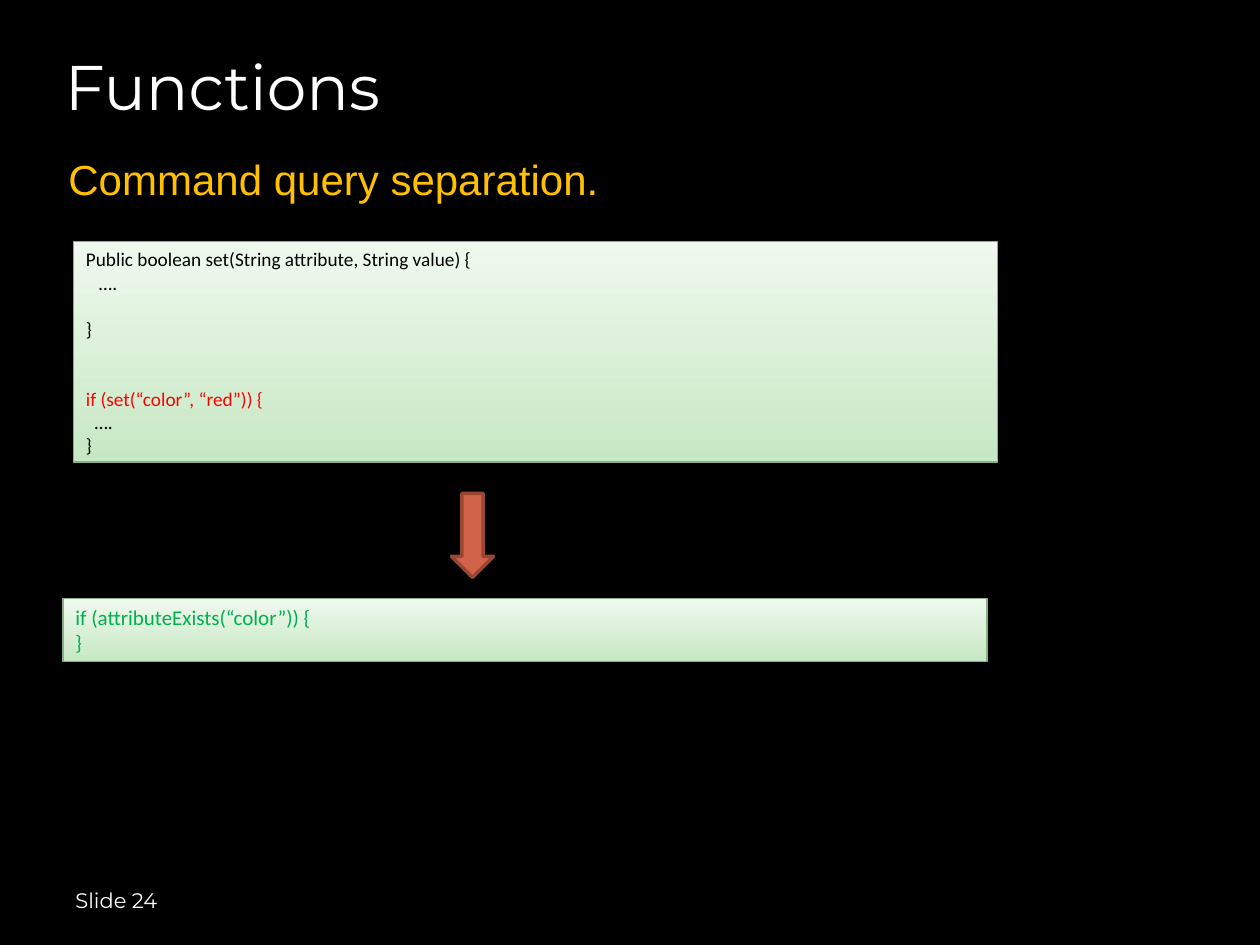
from dataclasses import dataclass

from pptx import Presentation
from pptx.dml.color import RGBColor
from pptx.enum import shapes, text
from pptx.util import Pt

WHITE, BLACK, RED, GREEN, AMBER = "FFFFFF", "000000", "FF0000", "00B050", "FFC000"
CODE_LINE = 13.4  # height of one line of 11 pt code


@dataclass
class Label:
    content: str
    left: float
    top: float
    width: float
    height: float
    size: float
    font: str
    color: str = WHITE
    anchor: text.MSO_ANCHOR = text.MSO_ANCHOR.MIDDLE
    wrap: bool = True


@dataclass
class CodeLine:
    content: str
    color: str
    blank_lines_before: int = 0


@dataclass
class CodeBox:
    left: float
    top: float
    height: float
    size: float
    lines: list[CodeLine]
    width: float = 528


def rgb(value: str) -> RGBColor:
    return RGBColor.from_string(value)


def set_font(paragraph, name: str, size: float, color: str) -> None:
    paragraph.font.name = name
    paragraph.font.size = Pt(size)
    paragraph.font.color.rgb = rgb(color)


def set_outline(shape, color: str, width: float) -> None:
    shape.shadow.inherit = False
    shape.line.color.rgb = rgb(color)
    shape.line.width = Pt(width)


def draw_label(slide, label: Label) -> None:
    box = slide.shapes.add_textbox(
        Pt(label.left), Pt(label.top), Pt(label.width), Pt(label.height))
    frame = box.text_frame
    frame.word_wrap = label.wrap
    frame.vertical_anchor = label.anchor
    frame.text = label.content
    set_font(frame.paragraphs[0], label.font, label.size, label.color)


def draw_code(slide, code: CodeBox) -> None:
    box = slide.shapes.add_shape(
        shapes.MSO_SHAPE.RECTANGLE,
        Pt(code.left), Pt(code.top), Pt(code.width), Pt(code.height))
    set_outline(box, "8BAD88", 0.75)
    box.fill.gradient()
    box.fill.gradient_angle = 90
    for stop, color in zip(box.fill.gradient_stops, ("C7E8C4", "EFF9EE")):
        stop.color.rgb = rgb(color)

    frame = box.text_frame
    frame.word_wrap = True
    frame.auto_size = text.MSO_AUTO_SIZE.SHAPE_TO_FIT_TEXT
    frame.vertical_anchor = text.MSO_ANCHOR.TOP
    for index, line in enumerate(code.lines):
        paragraph = frame.add_paragraph() if index else frame.paragraphs[0]
        paragraph.text = line.content
        paragraph.alignment = text.PP_ALIGN.LEFT
        if line.blank_lines_before:
            paragraph.space_before = Pt(line.blank_lines_before * CODE_LINE)
        set_font(paragraph, "Calibri", code.size, line.color)


def draw_arrow(slide, left: float, top: float, width: float, height: float) -> None:
    arrow = slide.shapes.add_shape(
        shapes.MSO_SHAPE.DOWN_ARROW, Pt(left), Pt(top), Pt(width), Pt(height))
    set_outline(arrow, "994733", 2)
    arrow.fill.solid()
    arrow.fill.fore_color.rgb = rgb("D16349")


LABELS = [
    Label("Functions", 30, 24, 648, 50, 36, "Montserrat"),
    Label("Slide 24", 36, 500, 168, 29, 12, "Montserrat"),
    Label("Command query separation.", 32, 84, 317, 36, 24, "Arial", AMBER,
          text.MSO_ANCHOR.TOP, wrap=False),
]

COMBINED = CodeBox(42, 138, 126, 11, [
    CodeLine("Public boolean set(String attribute, String value) {", BLACK),
    CodeLine("   ….", BLACK),
    CodeLine("}", BLACK, blank_lines_before=1),
    CodeLine("if (set(“color”, “red”)) {", RED, blank_lines_before=2),
    CodeLine("  ….", BLACK),
    CodeLine("}", BLACK),
])

SEPARATED = CodeBox(36, 342, 36, 12, [
    CodeLine("if (attributeExists(“color”)) {", GREEN),
    CodeLine("}", GREEN),
])


def main() -> None:
    deck = Presentation()
    deck.slide_width, deck.slide_height = Pt(720), Pt(540)
    slide = deck.slides.add_slide(deck.slide_layouts[6])
    slide.background.fill.solid()
    slide.background.fill.fore_color.rgb = rgb(BLACK)

    # Title, slide number and heading
    for label in LABELS:
        draw_label(slide, label)

    # Code before and after the separation
    for code in (COMBINED, SEPARATED):
        draw_code(slide, code)
    draw_arrow(slide, 258, 282, 24, 48)

    deck.save("out.pptx")


if __name__ == "__main__":
    main()
